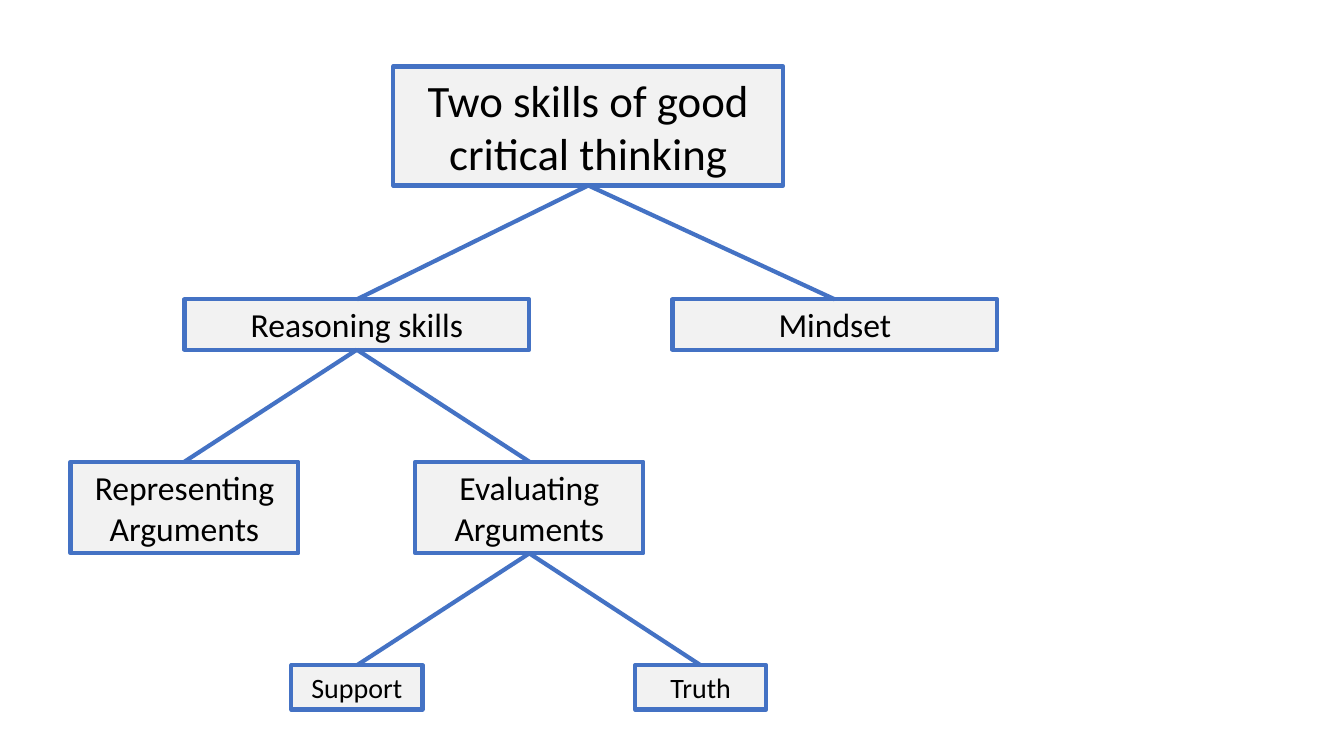
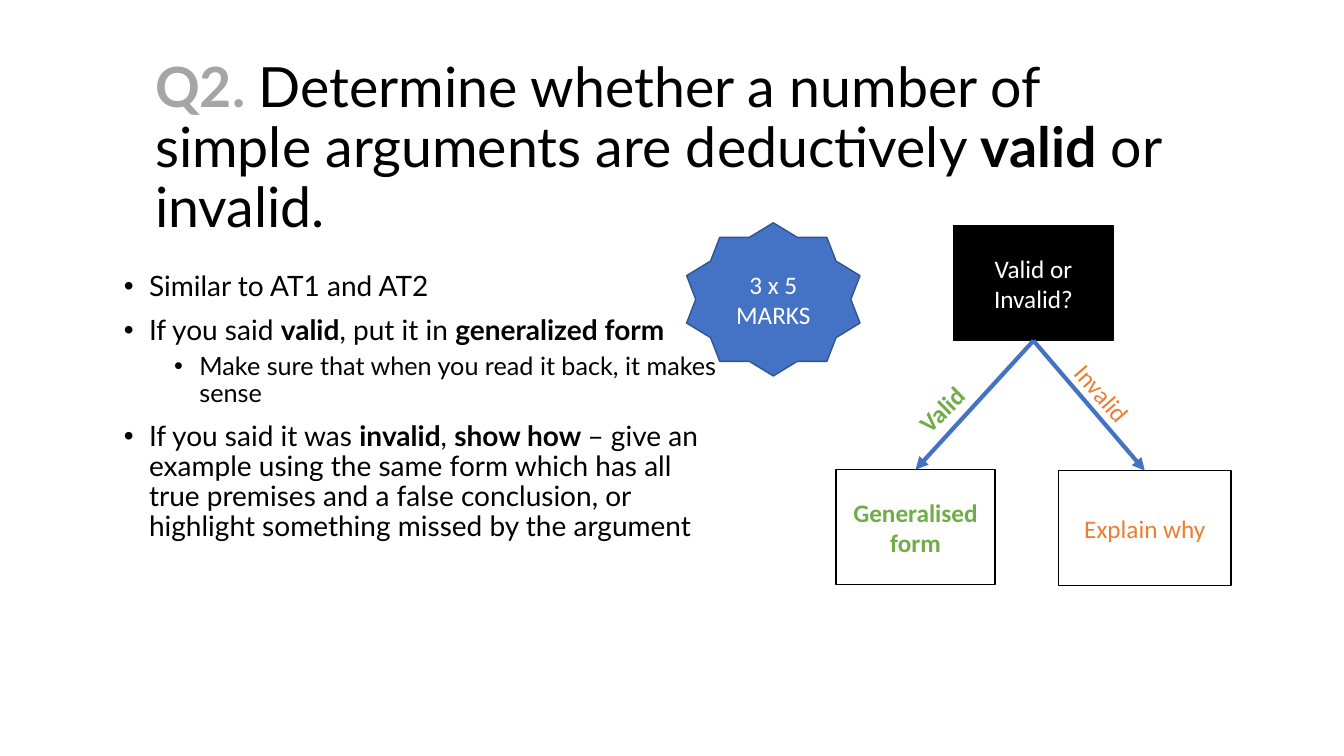
from lxml import etree
from pptx import Presentation
from pptx.dml.color import RGBColor
from pptx.enum import shapes, text
from pptx.oxml import ns
from pptx.util import Pt

PX = 9144
BLACK = RGBColor(0x00, 0x00, 0x00)
WHITE = RGBColor(0xFF, 0xFF, 0xFF)
PALE = RGBColor(0xF2, 0xF2, 0xF2)
GREY = RGBColor(0xA5, 0xA5, 0xA5)
BLUE = RGBColor(0x44, 0x72, 0xC4)
NAVY = RGBColor(0x32, 0x54, 0x91)
GREEN = RGBColor(0x70, 0xAD, 0x47)
ORANGE = RGBColor(0xED, 0x7D, 0x31)
KIND = shapes.MSO_SHAPE
MID = text.MSO_ANCHOR.MIDDLE
TOP = text.MSO_ANCHOR.TOP
CENTER = text.PP_ALIGN.CENTER
NODE = {"fill": PALE, "line": BLUE, "width": 3}
CHOICE = {"line": BLACK}


def px(*vals):
    """Turn px lengths into EMU."""
    return [val * PX for val in vals]


def style(item, **vals):
    """Set each named value on an item."""
    for name, val in vals.items():
        setattr(item, name, val)


def write(para, words, size, color, face="Calibri"):
    """Add runs, with the parts between asterisks in bold."""
    for spot, part in enumerate(words.split("*")):
        if part:
            run = para.add_run()
            run.text = part
            style(run.font, size=Pt(size), name=face, bold=spot % 2 == 1)
            run.font.color.rgb = color


def box(slide, at, words, size, color=BLACK, fill=None, line=BLUE, width=1, kind=KIND.RECTANGLE):
    """Draw a shape with centred text."""
    shape = slide.shapes.add_shape(kind, *px(*at))
    shape.shadow.inherit = False
    if fill is None:
        shape.fill.background()
    else:
        shape.fill.solid()
        shape.fill.fore_color.rgb = fill
    shape.line.color.rgb = line
    shape.line.width = Pt(width)
    style(shape.text_frame, word_wrap=True, vertical_anchor=MID)
    para = shape.text_frame.paragraphs[0]
    para.alignment = CENTER
    write(para, words, size, color)
    return shape


def link(slide, start, end, arrow=False):
    """Join the bottom of one box to the top of another."""
    line = slide.shapes.add_connector(shapes.MSO_CONNECTOR.STRAIGHT, 0, 0, 0, 0)
    line.begin_connect(start, 2)
    line.end_connect(end, 0)
    line.line.color.rgb = BLUE
    line.line.width = Pt(3)
    if arrow:
        etree.SubElement(line.line._get_or_add_ln(), ns.qn("a:tailEnd"), type="triangle")
    etree.SubElement(line._element.spPr, ns.qn("a:effectLst"))


def label(slide, at, anchor=TOP, turn=0):
    """Add an empty text box and return its frame."""
    shape = slide.shapes.add_textbox(*px(*at))
    shape.rotation = turn
    style(shape.text_frame, word_wrap=True, vertical_anchor=anchor)
    return shape.text_frame


def bullets(frame, items):
    """Fill a frame with bulleted lines of two levels."""
    for spot, (level, words) in enumerate(items):
        para = frame.add_paragraph() if spot else frame.paragraphs[0]
        style(para, level=level, line_spacing=0.9, space_before=Pt(5 if level else 10))
        props = para._p.get_or_add_pPr()
        props.set("marL", str((25 + 50 * level) * PX))
        props.set("indent", str(-25 * PX))
        etree.SubElement(props, ns.qn("a:buFont"), typeface="Arial")
        etree.SubElement(props, ns.qn("a:buChar"), char="•")
        write(para, words, 18 if level else 20, BLACK, "Lato")


def skills(slide):
    """Draw the tree of thinking skills."""
    nodes = {
        "root": ((390, 66, 387, 118), "Two skills of good critical thinking", 32),
        "reason": ((183, 297, 342, 50), "Reasoning skills", 24),
        "mind": ((667, 297, 322, 50), "Mindset", 24),
        "rep": ((70, 458, 226, 91), "Representing Arguments", 24),
        "eval": ((412, 458, 226, 91), "Evaluating Arguments", 24),
        "support": ((289, 660, 130, 44), "Support", 20),
        "truth": ((630, 660, 130, 44), "Truth", 20),
    }
    tree = {"root": ("reason", "mind"), "reason": ("rep", "eval"), "eval": ("support", "truth")}
    made = {name: box(slide, *node, **NODE) for name, node in nodes.items()}
    for top, kids in tree.items():
        for kid in kids:
            link(slide, made[top], made[kid])


def question(slide):
    """Build the question on valid arguments."""
    para = label(slide, (144, 76, 1060, 145), MID).paragraphs[0]
    para.line_spacing = 0.9
    write(para, "*Q2. *Determine whether a number of simple arguments are deductively *valid* or invalid.",
          39.6, BLACK, "Lato")
    para.runs[0].font.color.rgb = GREY
    bullets(label(slide, (113, 265, 614, 418)), [
        (0, "Similar to AT1 and AT2"),
        (0, "If you said *valid*, put it in *generalized form*"),
        (1, "Make sure that when you read it back, it makes sense"),
        (0, "If you said it was *invalid*, *show how *– give an example using the same form which has all "
            "true premises and a false conclusion, or highlight something missed by the argument"),
    ])
    root = box(slide, (946, 224, 158, 114), "Valid or Invalid?", 18, WHITE, BLACK, **CHOICE)
    for at, words, color in (((829, 466, 158, 114), "*Generalised form*", GREEN),
                             ((1050, 467, 171, 114), "Explain why", ORANGE)):
        link(slide, root, box(slide, at, words, 18, color, **CHOICE), arrow=True)
    for at, turn, words, color in (((894, 376, 100, 40), 315.5, "*Valid*", GREEN),
                                   ((1046, 379, 110, 40), 48.9, "Invalid", ORANGE)):
        write(label(slide, at, turn=turn).paragraphs[0], words, 18, color)
    box(slide, (681, 221, 172, 152), "3 x 5 MARKS", 18, WHITE, BLUE, NAVY, kind=KIND.STAR_10_POINT)


def main():
    """Build and save the slides."""
    deck = Presentation()
    wide, high = px(1333, 750)
    style(deck, slide_width=wide, slide_height=high)
    for build in (skills, question):
        build(deck.slides.add_slide(deck.slide_layouts[6]))
    deck.save("out.pptx")


if __name__ == "__main__":
    main()
